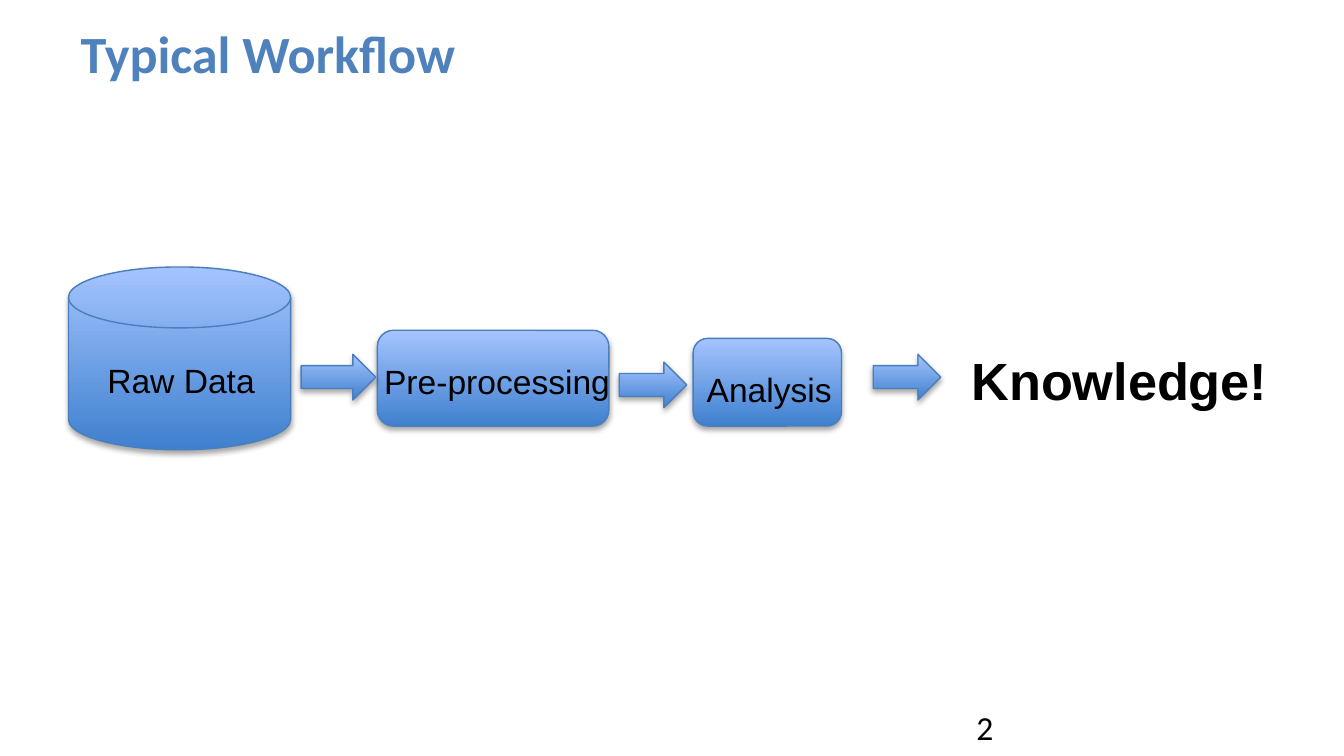
from lxml.etree import SubElement
from pptx import Presentation
from pptx.dml.color import RGBColor
from pptx.enum.shapes import MSO_SHAPE as SHAPE
from pptx.enum.text import MSO_ANCHOR as ANCHOR, MSO_AUTO_SIZE as AUTO, PP_ALIGN as ALIGN
from pptx.oxml.ns import qn
from pptx.util import Pt


def color(hex_code):
    """Turn a hex string into a colour."""
    return RGBColor.from_string(hex_code)


def box(*lengths):
    """Convert left, top, width and height in points."""
    return [Pt(v) for v in lengths]


def write(tf, text, size, font, hex_code="000000", bold=False):
    """Set the text of a frame and format its run."""
    tf.text = text
    p = tf.paragraphs[0]
    p.alignment = ALIGN.LEFT
    f = p.runs[0].font
    f.size, f.name, f.bold = Pt(size), font, bold
    f.color.rgb = color(hex_code)


def add_title(slide, text):
    """Place and format the title placeholder."""
    s = slide.shapes.title
    s.left, s.top, s.width, s.height = box(36, 2.9, 648, 51)
    s.text_frame.vertical_anchor = ANCHOR.MIDDLE
    write(s.text_frame, text, 28, "Calibri", "4F81BD", True)


def add_label(slide, text, bounds, size=18, font="Arial", bold=False, grow=True):
    """Add a text box, growing with its text unless told otherwise."""
    tf = slide.shapes.add_textbox(*box(*bounds)).text_frame
    tf.word_wrap = not grow
    tf.auto_size = AUTO.SHAPE_TO_FIT_TEXT if grow else AUTO.NONE
    write(tf, text, size, font, bold=bold)


def add_shadow(s):
    """Give a shape a soft shadow below it."""
    s.shadow.inherit = False
    effects = s._element.spPr.find(qn("a:effectLst"))
    shadow = SubElement(effects, qn("a:outerShdw"), blurRad=str(Pt(3.1)),
                        dist=str(Pt(1.8)), dir="5400000", rotWithShape="0")
    black = SubElement(shadow, qn("a:srgbClr"), val="000000")
    SubElement(black, qn("a:alpha"), val="35000")


def add_block(slide, kind, *bounds):
    """Add a shape with the blue gradient, outline and shadow."""
    s = slide.shapes.add_shape(kind, *box(*bounds))
    s.fill.gradient()
    s.fill.gradient_angle = 90
    for stop, hex_code, position in zip(s.fill.gradient_stops, ("3F80CE", "A4C4FF"), (0, 1)):
        stop.color.rgb = color(hex_code)
        stop.position = position
    s.line.color.rgb = color("4B7EBC")
    s.line.width = Pt(0.75)
    add_shadow(s)


def main():
    """Build the workflow slide."""
    prs = Presentation()
    prs.slide_width, prs.slide_height = Pt(720), Pt(405)
    slide = prs.slides.add_slide(prs.slide_layouts[5])
    add_title(slide, "Typical Workflow")
    add_label(slide, "2", (516, 375, 168, 21.6), font="Calibri", grow=False)
    add_label(slide, "Knowledge!", (513.4, 182.9, 175, 41), size=28, bold=True)

    add_block(slide, SHAPE.FLOWCHART_MAGNETIC_DISK, 36.7, 143, 119, 98)
    for left, top, width, height in ((202.2, 177, 124, 51.3), (371.3, 181.3, 79.5, 47)):
        add_block(slide, SHAPE.FLOWCHART_ALTERNATE_PROCESS, left, top, width, height)
    for text, bounds in (("Raw Data", (50.4, 189.4, 94.3, 29)),
                         ("Pre-processing", (198.7, 190, 136.8, 29)),
                         ("Analysis", (371.5, 194, 83.5, 29))):
        add_label(slide, text, bounds)
    for left, top, width in ((161.3, 189.8, 40), (331.7, 194, 36.2), (467.8, 189.8, 36.2)):
        add_block(slide, SHAPE.RIGHT_ARROW, left, top, width, 24.5)
    prs.save("out.pptx")


if __name__ == "__main__":
    main()
